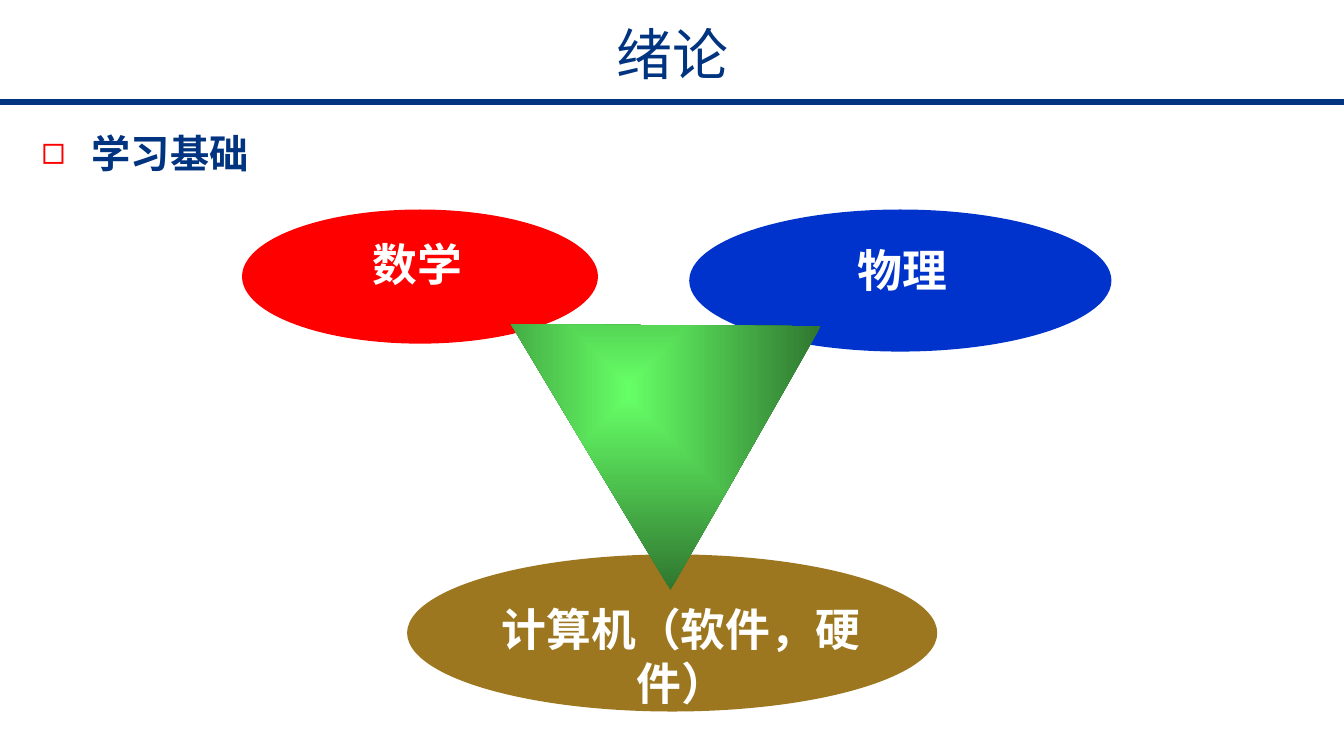
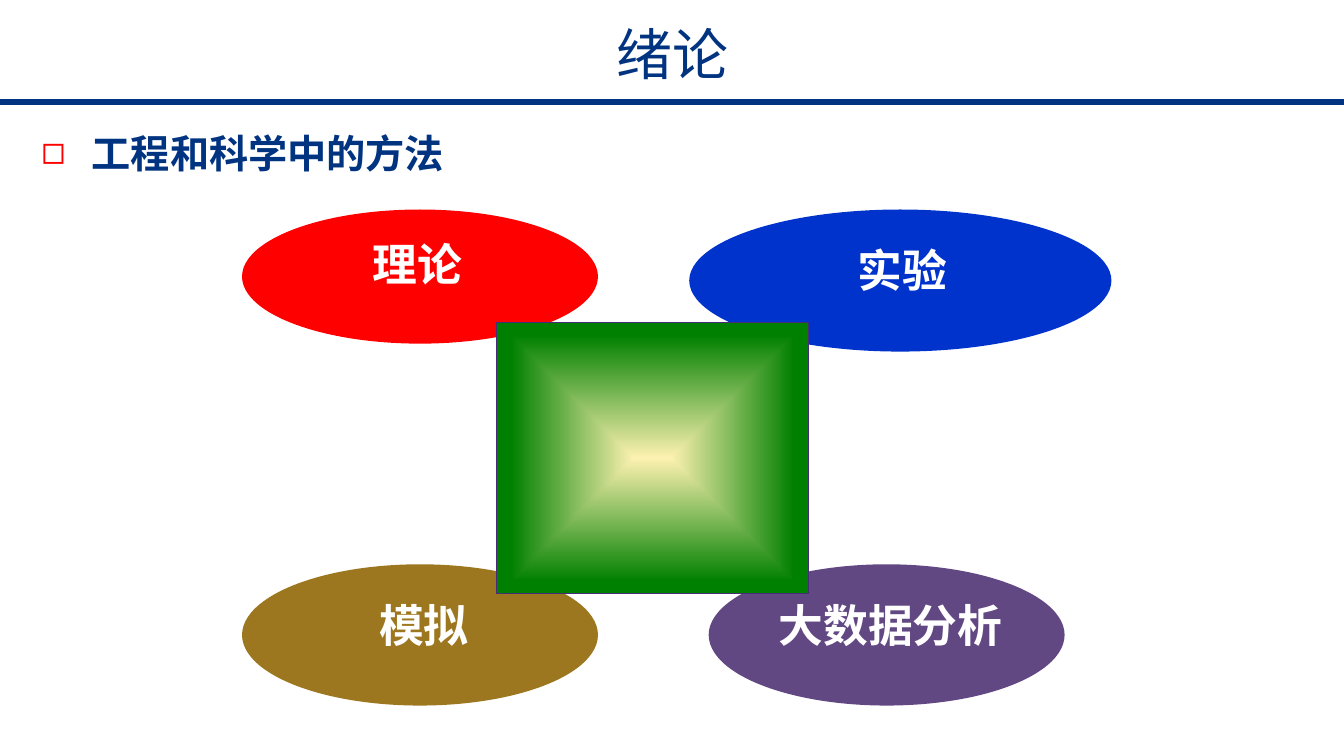
from dataclasses import dataclass

from lxml import etree
from pptx import Presentation
from pptx.dml.color import RGBColor as RGB
from pptx.enum.shapes import MSO_CONNECTOR as CONN, MSO_SHAPE as SHAPE
from pptx.enum.text import MSO_ANCHOR as ANCHOR, MSO_AUTO_SIZE as AUTO, PP_ALIGN as ALIGN
from pptx.oxml import parse_xml
from pptx.oxml.ns import nsdecls, qn
from pptx.util import Cm, Pt


@dataclass(frozen=True)
class Theme:
    navy: str = "003380"
    red: str = "FF0000"
    blue: str = "0033CC"
    brown: str = "9C771F"
    purple: str = "624883"
    white: str = "FFFFFF"
    edge: str = "462C79"
    cjk: str = "Noto Sans CJK SC"
    latin: str = "Arial"
    label: str = "Calibri"
    title_pt: int = 40
    body_pt: int = 28
    label_pt: int = 32


T = Theme()


def write(sp, text, size, color, font, bold, align):
    """Put one styled run at the top of a text shape."""
    tf = sp.text_frame
    tf.word_wrap = True
    tf.auto_size = AUTO.NONE
    tf.vertical_anchor = ANCHOR.TOP
    p = tf.paragraphs[0]
    p.alignment = align
    p.space_before = Pt(0)
    r = p.add_run()
    r.text = text
    r.font.size = Pt(size)
    r.font.bold = bold
    r.font.color.rgb = RGB.from_string(color)
    r.font.name = font
    r.font._element.find(qn("a:latin")).addnext(
        parse_xml(f'<a:ea {nsdecls("a")} typeface="{T.cjk}"/>'))
    return p


def path_gradient(sp, inner, outer, end):
    """Fill a shape from its centre outwards; end is the outer stop in percent."""
    sp.fill.background()
    sp._element.spPr.find(qn("a:noFill")).getparent().replace(
        sp._element.spPr.find(qn("a:noFill")),
        parse_xml(
            f'<a:gradFill {nsdecls("a")} rotWithShape="0"><a:gsLst>'
            f'<a:gs pos="0"><a:srgbClr val="{inner}"/></a:gs>'
            f'<a:gs pos="{end * 1000}"><a:srgbClr val="{outer}"/></a:gs></a:gsLst>'
            '<a:path path="shape">'
            '<a:fillToRect l="50000" t="50000" r="50000" b="50000"/>'
            '</a:path></a:gradFill>'))


# Each place is an ellipse box and a label box: left, top, width, height in cm.
TOP_LEFT = (6.1, 5.28, 8.97, 3.38), (7.44, 5.87, 6.17, 1.19)
TOP_RIGHT = (17.37, 5.28, 10.64, 3.58), (18.72, 6.02, 8.05, 1.22)
BOTTOM = (10.26, 13.97, 13.36, 3.96), (11.35, 15.06, 11.63, 1.78)
BOTTOM_LEFT = (6.1, 14.22, 8.97, 3.56), (7.19, 14.96, 6.99, 1.6)
BOTTOM_RIGHT = (17.86, 14.22, 8.97, 3.56), (18.95, 14.96, 6.99, 1.6)

# Topic, ellipses, then the centre: shape, box, rotation, gradient, has edge.
SLIDES = [
    ("学习基础",
     [("物理", T.blue, TOP_RIGHT),
      ("数学", T.red, TOP_LEFT),
      ("计算机（软件，硬件）", T.brown, BOTTOM)],
     (SHAPE.ISOSCELES_TRIANGLE, (12.01, 6.45, 7.65, 6.81), 299.7,
      ("66FF66", "2F762F", 100), False)),
    ("工程和科学中的方法",
     [("实验", T.blue, TOP_RIGHT),
      ("理论", T.red, TOP_LEFT),
      ("模拟", T.brown, BOTTOM_LEFT),
      ("大数据分析", T.purple, BOTTOM_RIGHT)],
     (SHAPE.RECTANGLE, (12.52, 8.13, 7.85, 6.83), 0,
      ("FCF1B0", "008000", 91), True)),
]

prs = Presentation()
prs.slide_width, prs.slide_height = Cm(33.87), Cm(19.05)

for topic, ellipses, (kind, center_box, rotation, gradient, has_edge) in SLIDES:
    s = prs.slides.add_slide(prs.slide_layouts[1])

    title, body = s.placeholders
    title.left, title.top, title.width, title.height = map(Cm, (7.52, 0.36, 18.85, 1.96))
    write(title, "绪论", T.title_pt, T.navy, T.cjk, False, ALIGN.CENTER)

    rule = s.shapes.add_connector(CONN.STRAIGHT, 0, Cm(2.57), prs.slide_width, Cm(2.57))
    rule.line.color.rgb = RGB.from_string(T.navy)
    rule.line.width = Pt(4.75)
    etree.SubElement(rule._element.spPr, qn("a:effectLst"))

    body.left, body.top, body.width, body.height = map(Cm, (0.79, 3.12, 21.97, 1.45))
    p = write(body, topic, T.body_pt, T.navy, T.latin, True, ALIGN.LEFT)
    pPr = p._p.get_or_add_pPr()
    pPr.set("marL", str(Cm(1.27)))
    pPr.set("indent", str(-Cm(1.27)))
    color = etree.SubElement(pPr, qn("a:buClr"))
    etree.SubElement(color, qn("a:srgbClr")).set("val", T.red)
    etree.SubElement(pPr, qn("a:buChar")).set("char", "◻")

    for text, fill, (ellipse_box, label_box) in ellipses:
        sp = s.shapes.add_shape(SHAPE.OVAL, *map(Cm, ellipse_box))
        sp.shadow.inherit = False
        sp.fill.solid()
        sp.fill.fore_color.rgb = RGB.from_string(fill)
        sp.line.fill.background()

        label = s.shapes.add_textbox(*map(Cm, label_box))
        tf = label.text_frame
        tf.margin_left = tf.margin_right = Cm(0.18)
        tf.margin_top = tf.margin_bottom = Cm(0.1)
        write(label, text, T.label_pt, T.white, T.label, True, ALIGN.CENTER)

    center = s.shapes.add_shape(kind, *map(Cm, center_box))
    center.shadow.inherit = False
    center.rotation = rotation
    path_gradient(center, *gradient)
    if has_edge:
        center.line.color.rgb = RGB.from_string(T.edge)
        center.line.width = Pt(0.5)
    else:
        center.line.fill.background()

prs.save("out.pptx")
